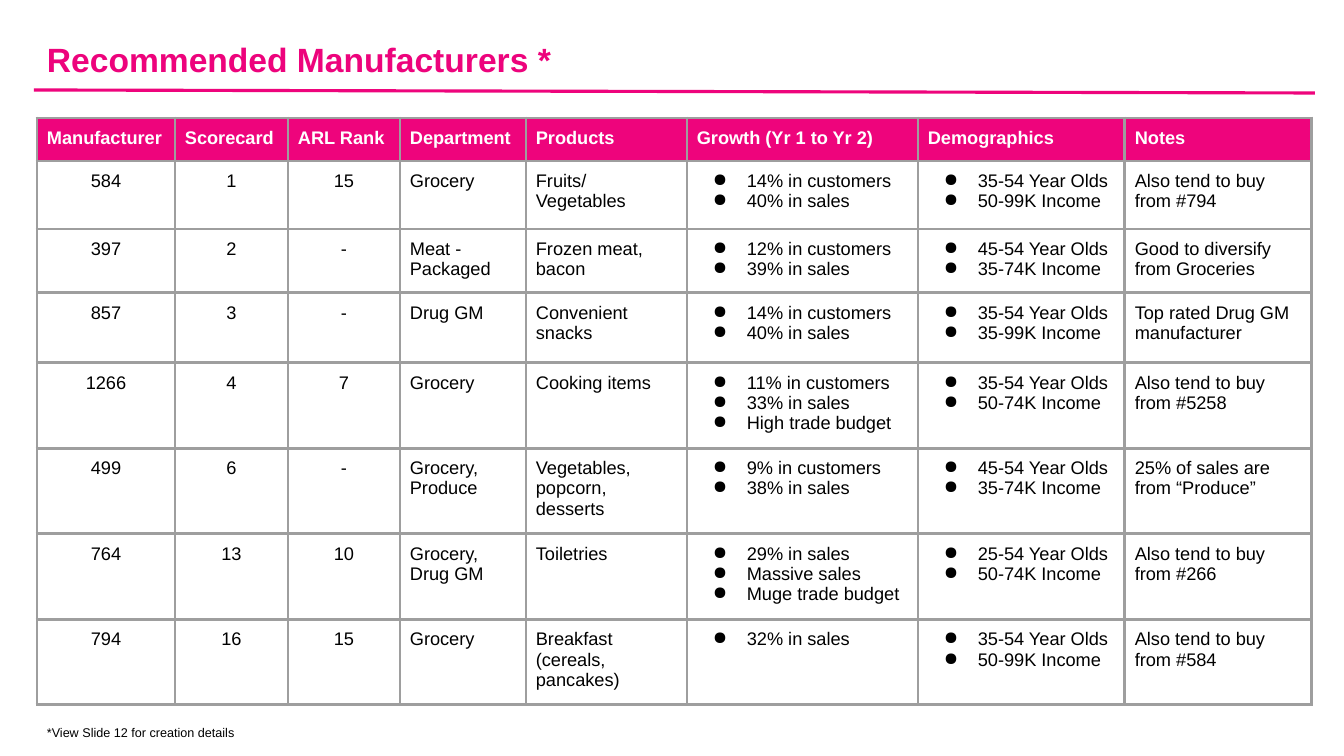
from lxml import etree
from pptx import Presentation
from pptx.dml.color import RGBColor
from pptx.enum.shapes import MSO_CONNECTOR
from pptx.enum.text import MSO_ANCHOR, PP_ALIGN
from pptx.oxml.ns import qn
from pptx.util import Pt

EMU_PER_INCH = 914400
PX_PER_INCH = 100.8
STRAIGHT = MSO_CONNECTOR.STRAIGHT
BOTTOM, MIDDLE = MSO_ANCHOR.BOTTOM, MSO_ANCHOR.MIDDLE
LEFT, CENTER = PP_ALIGN.LEFT, PP_ALIGN.CENTER

TITLE_PINK = RGBColor(0xED, 0x03, 0x7C)
PINK = RGBColor(0xEE, 0x04, 0x7C)
GRAY = RGBColor(0x9E, 0x9E, 0x9E)
BLACK = RGBColor(0x00, 0x00, 0x00)
WHITE = RGBColor(0xFF, 0xFF, 0xFF)

COLUMN_WIDTHS = [138, 113, 112, 126, 161, 231, 207, 187]
ROW_HEIGHTS = [43, 68, 61, 70, 74, 71, 71, 71]
CENTERED_COLUMNS = {0, 1, 2}
BULLETED_COLUMNS = {5, 6}

HEADINGS = ["Manufacturer", "Scorecard", "ARL Rank", "Department", "Products",
            "Growth (Yr 1 to Yr 2)", "Demographics", "Notes"]
MANUFACTURERS = [
    ["584", "1", "15", "Grocery", "Fruits/ Vegetables",
     "14% in customers\n40% in sales",
     "35-54 Year Olds\n50-99K Income", "Also tend to buy from #794"],
    ["397", "2", "-", "Meat - Packaged", "Frozen meat, bacon",
     "12% in customers\n39% in sales",
     "45-54 Year Olds\n35-74K Income", "Good to diversify from Groceries"],
    ["857", "3", "-", "Drug GM", "Convenient snacks",
     "14% in customers\n40% in sales",
     "35-54 Year Olds\n35-99K Income", "Top rated Drug GM manufacturer"],
    ["1266", "4", "7", "Grocery", "Cooking items",
     "11% in customers\n33% in sales\nHigh trade budget",
     "35-54 Year Olds\n50-74K Income", "Also tend to buy from #5258"],
    ["499", "6", "-", "Grocery, Produce", "Vegetables, popcorn, desserts",
     "9% in customers\n38% in sales",
     "45-54 Year Olds\n35-74K Income", "25% of sales are from “Produce”"],
    ["764", "13", "10", "Grocery, Drug GM", "Toiletries",
     "29% in sales\nMassive sales\nMuge trade budget",
     "25-54 Year Olds\n50-74K Income", "Also tend to buy from #266"],
    ["794", "16", "15", "Grocery", "Breakfast (cereals, pancakes)",
     "32% in sales",
     "35-54 Year Olds\n50-99K Income", "Also tend to buy from #584"],
]


def px(length):
    """Turn whole px into EMU."""
    return round(length * EMU_PER_INCH / PX_PER_INCH)


class SlideBuilder:
    font = "Arial"
    table_size = 13
    line_width = Pt(2.25)
    cell_inset = px(10)

    def __init__(self, slide):
        self.slide = slide

    def style(self, frame, size, color, bold=False, align=LEFT):
        for paragraph in frame.paragraphs:
            paragraph.alignment = align
            for run in paragraph.runs:
                run.font.name = self.font
                run.font.size = Pt(size)
                run.font.bold = bold
                run.font.color.rgb = color

    def text(self, content, left, top, width, height, size, color, anchor, bold=False):
        box = self.slide.shapes.add_textbox(px(left), px(top), px(width), px(height))
        frame = box.text_frame
        frame.word_wrap = True
        frame.vertical_anchor = anchor
        frame.text = content
        self.style(frame, size, color, bold)

    def rule(self, x1, y1, x2, y2, color):
        line = self.slide.shapes.add_connector(STRAIGHT, px(x1), px(y1), px(x2), px(y2))
        line.line.color.rgb = color
        line.line.width = self.line_width
        etree.SubElement(line._element.spPr, qn("a:effectLst"))

    def bullets(self, frame):
        for paragraph in frame.paragraphs:
            properties = paragraph._p.get_or_add_pPr()
            properties.set("marL", str(px(50)))
            properties.set("indent", str(px(-34)))
            bullet_color = etree.SubElement(properties, qn("a:buClr"))
            etree.SubElement(bullet_color, qn("a:srgbClr"), val=str(BLACK))
            etree.SubElement(properties, qn("a:buChar"), char="●")

    def borders(self, cell, color):
        """Draw all four edges; call before the fill, which must follow them in the XML."""
        properties = cell._tc.get_or_add_tcPr()
        for edge in ("a:lnL", "a:lnR", "a:lnT", "a:lnB"):
            border = etree.SubElement(properties, qn(edge), w=str(self.line_width))
            fill = etree.SubElement(border, qn("a:solidFill"))
            etree.SubElement(fill, qn("a:srgbClr"), val=str(color))

    def cell(self, cell, content):
        cell.margin_left = cell.margin_right = self.cell_inset
        cell.margin_top = cell.margin_bottom = self.cell_inset
        self.borders(cell, GRAY)
        cell.text_frame.text = content

    def header_cell(self, cell, heading):
        self.cell(cell, heading)
        cell.fill.solid()
        cell.fill.fore_color.rgb = PINK
        self.style(cell.text_frame, self.table_size, WHITE, bold=True)

    def body_cell(self, cell, content, column):
        self.cell(cell, content)
        cell.fill.background()
        align = CENTER if column in CENTERED_COLUMNS else LEFT
        self.style(cell.text_frame, self.table_size, BLACK, align=align)
        if column in BULLETED_COLUMNS:
            self.bullets(cell.text_frame)

    def table(self, left, top):
        table = self.slide.shapes.add_table(
            len(ROW_HEIGHTS), len(COLUMN_WIDTHS), px(left), px(top),
            px(sum(COLUMN_WIDTHS)), px(sum(ROW_HEIGHTS))).table
        table.first_row = table.horz_banding = False
        for column, width in zip(table.columns, COLUMN_WIDTHS):
            column.width = px(width)
        for row, height in zip(table.rows, ROW_HEIGHTS):
            row.height = px(height)
        for column, heading in enumerate(HEADINGS):
            self.header_cell(table.cell(0, column), heading)
        for row, manufacturer in enumerate(MANUFACTURERS, start=1):
            for column, content in enumerate(manufacturer):
                self.body_cell(table.cell(row, column), content, column)


def main():
    presentation = Presentation()
    presentation.slide_width = px(1344)
    presentation.slide_height = px(756)
    builder = SlideBuilder(presentation.slides.add_slide(presentation.slide_layouts[6]))
    builder.text("Recommended Manufacturers *", 37, 22, 1058, 62, 24, TITLE_PINK,
                 BOTTOM, bold=True)
    builder.text("*View Slide 12 for creation details", 37, 720, 1040, 24, 9, BLACK, MIDDLE)
    builder.table(37, 118)
    builder.rule(34, 90, 1315, 93, PINK)
    presentation.save("out.pptx")


if __name__ == "__main__":
    main()
